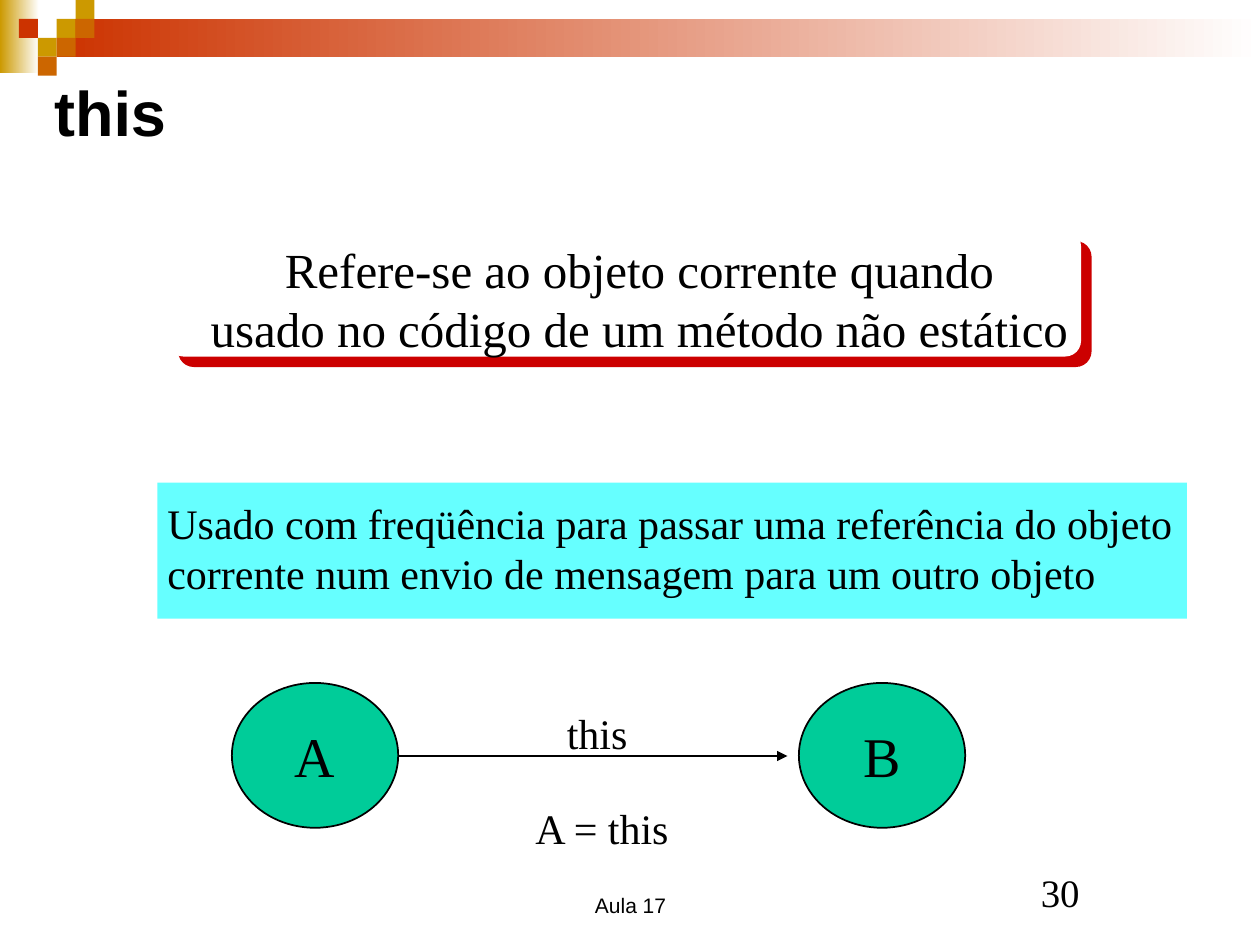
from dataclasses import dataclass

import lxml.etree
import pptx
import pptx.dml.color
import pptx.enum.shapes
import pptx.enum.text
import pptx.oxml
import pptx.oxml.ns
import pptx.util

Inches = pptx.util.Inches
Pt = pptx.util.Pt
Shape = pptx.enum.shapes.MSO_SHAPE
Align = pptx.enum.text.PP_ALIGN
Anchor = pptx.enum.text.MSO_ANCHOR
AutoSize = pptx.enum.text.MSO_AUTO_SIZE


@dataclass(frozen=True)
class Theme:
    black: str = "000000"
    white: str = "FFFFFF"
    gold: str = "CC9900"
    orange: str = "CC6600"
    red: str = "CC3300"
    shadow: str = "CC0000"
    cyan: str = "66FFFF"
    green: str = "00CC99"
    serif: str = "Times New Roman"
    sans: str = "Arial"
    title: float = 36
    node: float = 32
    statement: float = 28
    body: float = 24
    number: float = 22.2
    footer: float = 12


THEME = Theme()


@dataclass(frozen=True)
class Box:
    left: float
    top: float
    width: float
    height: float

    def lengths(self) -> tuple:
        return tuple(Inches(v) for v in (self.left, self.top, self.width, self.height))


@dataclass(frozen=True)
class Label:
    box: Box
    lines: tuple
    size: float
    font: str = THEME.serif
    align: Align = Align.LEFT
    anchor: Anchor = Anchor.TOP
    wrap: bool = False
    line_spacing: float = 1.0


def rgb(color: str):
    return pptx.dml.color.RGBColor.from_string(color)


def write_text(shape, lines: tuple, size: float, font: str = THEME.serif,
               align=Align.LEFT, bold: bool = False, line_spacing: float = 1.0) -> None:
    frame = shape.text_frame
    frame.text = "\n".join(lines)
    formats = {"size": Pt(size), "name": font, "bold": bold}
    for paragraph in frame.paragraphs:
        paragraph.alignment = align
        paragraph.line_spacing = line_spacing
        for name, value in formats.items():
            setattr(paragraph.font, name, value)
        paragraph.font.color.rgb = rgb(THEME.black)


def add_filled(slide, box: Box, color: str, preset=Shape.RECTANGLE):
    shape = slide.shapes.add_shape(preset, *box.lengths())
    shape.shadow.inherit = False
    shape.fill.solid()
    shape.fill.fore_color.rgb = rgb(color)
    shape.line.fill.background()
    return shape


def add_fading_bar(slide, box: Box, color: str) -> None:
    """Add a bar that fades from the colour to white, left to right."""
    fill = add_filled(slide, box, color).fill
    fill.gradient()
    fill.gradient_angle = 0
    for stop, stop_color, position in zip(fill.gradient_stops, (color, THEME.white), (0, 1)):
        stop.color.rgb = rgb(stop_color)
        stop.position = position


def add_label(slide, label: Label) -> None:
    shape = slide.shapes.add_textbox(*label.box.lengths())
    formats = {
        "word_wrap": label.wrap,
        "vertical_anchor": label.anchor,
        "auto_size": AutoSize.NONE if label.wrap else AutoSize.SHAPE_TO_FIT_TEXT,
    }
    for name, value in formats.items():
        setattr(shape.text_frame, name, value)
    write_text(shape, label.lines, label.size, label.font, label.align,
               line_spacing=label.line_spacing)


def add_object_node(slide, left: float, name: str) -> None:
    shape = add_filled(slide, Box(left, 5.42, 1.32, 1.15), THEME.green, Shape.OVAL)
    shape.line.color.rgb = rgb(THEME.black)
    shape.line.width = Pt(1)
    shape.text_frame.word_wrap = False
    shape.text_frame.vertical_anchor = Anchor.MIDDLE
    write_text(shape, (name,), THEME.node, align=Align.CENTER)


def add_arrow(slide, start: tuple, end: tuple) -> None:
    arrow = slide.shapes.add_connector(
        pptx.enum.shapes.MSO_CONNECTOR.STRAIGHT, *(Inches(v) for v in start + end))
    arrow.line.color.rgb = rgb(THEME.black)
    arrow.line.width = Pt(1)
    qn = pptx.oxml.ns.qn
    properties = arrow._element.spPr
    lxml.etree.SubElement(properties.find(qn("a:ln")), qn("a:tailEnd"), type="triangle")
    lxml.etree.SubElement(properties, qn("a:effectLst"))


def add_statement_card(slide) -> None:
    """Add the rounded card with its hard red shadow."""
    card = add_filled(slide, Box(1.33, 1.83, 7.25, 1), THEME.white, Shape.ROUNDED_RECTANGLE)
    card.adjustments[0] = 0.125
    effects = card._element.spPr.find(pptx.oxml.ns.qn("a:effectLst"))
    effects.append(pptx.oxml.parse_xml(
        f'<a:outerShdw {pptx.oxml.ns.nsdecls("a")} blurRad="0" dist="{Pt(8.5)}" '
        f'dir="{45 * 60000}" algn="ctr" rotWithShape="0">'
        f'<a:srgbClr val="{THEME.shadow}"/></a:outerShdw>'))


def add_corner_motif(slide) -> None:
    add_fading_bar(slide, Box(0, 0, 0.31, 0.58), THEME.gold)
    add_fading_bar(slide, Box(0.45, 0.15, 9.55, 0.3), THEME.red)
    cell = 0.15
    squares = (
        (3, 1, THEME.gold), (4, 0, THEME.gold), (4, 1, THEME.orange), (2, 2, THEME.gold),
        (1, 1, THEME.red), (3, 2, THEME.orange), (2, 3, THEME.orange),
    )
    for column, row, color in squares:
        add_filled(slide, Box(column * cell, row * cell, cell, cell), color)


def add_title(slide, text: str) -> None:
    title = slide.shapes.title
    title.left, title.top, title.width, title.height = Box(0.33, 0.42, 9.25, 0.92).lengths()
    title.text_frame.vertical_anchor = Anchor.MIDDLE
    write_text(title, (text,), THEME.title, THEME.sans, bold=True)


LABELS = (
    Label(Box(1.57, 1.85, 7.01, 1.04),
          ("Refere-se ao objeto corrente quando", "usado no código de um método não estático"),
          THEME.statement, align=Align.CENTER),
    Label(Box(1.23, 3.9, 8.18, 0.9),
          ("Usado com freqüência para passar uma referência do objeto",
           "corrente num envio de mensagem para um outro objeto"), THEME.body),
    Label(Box(4.4, 5.57, 0.68, 0.5), ("this",), THEME.body),
    Label(Box(4.15, 6.32, 1.28, 0.5), ("A = this",), THEME.body),
    Label(Box(3.42, 6.83, 3.17, 0.5), ("Aula 17",), THEME.footer, THEME.sans,
          Align.CENTER, Anchor.BOTTOM, True),
    Label(Box(6.83, 6.82, 3.17, 0.5), ("30",), THEME.number, THEME.serif,
          Align.CENTER, Anchor.BOTTOM, True, 0.9),
)


def main() -> None:
    presentation = pptx.Presentation()
    presentation.slide_width = Inches(10)
    presentation.slide_height = Inches(7.5)
    slide = presentation.slides.add_slide(presentation.slide_layouts[5])
    add_corner_motif(slide)
    add_title(slide, "this")
    add_statement_card(slide)
    add_filled(slide, Box(1.25, 3.83, 8.17, 1.08), THEME.cyan)
    for left, name in ((1.84, "A"), (6.34, "B")):
        add_object_node(slide, left, name)
    add_arrow(slide, (3.17, 6), (6.25, 6))
    for label in LABELS:
        add_label(slide, label)
    presentation.save("out.pptx")


if __name__ == "__main__":
    main()
